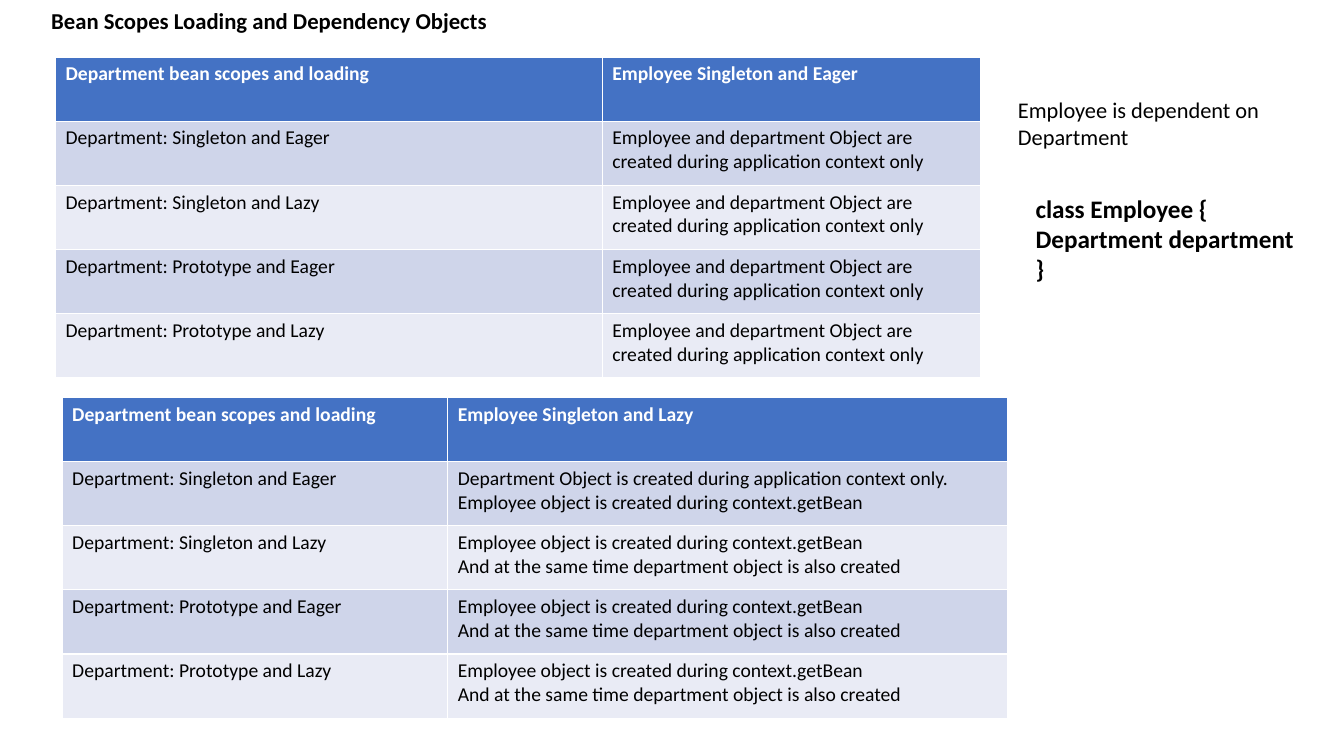
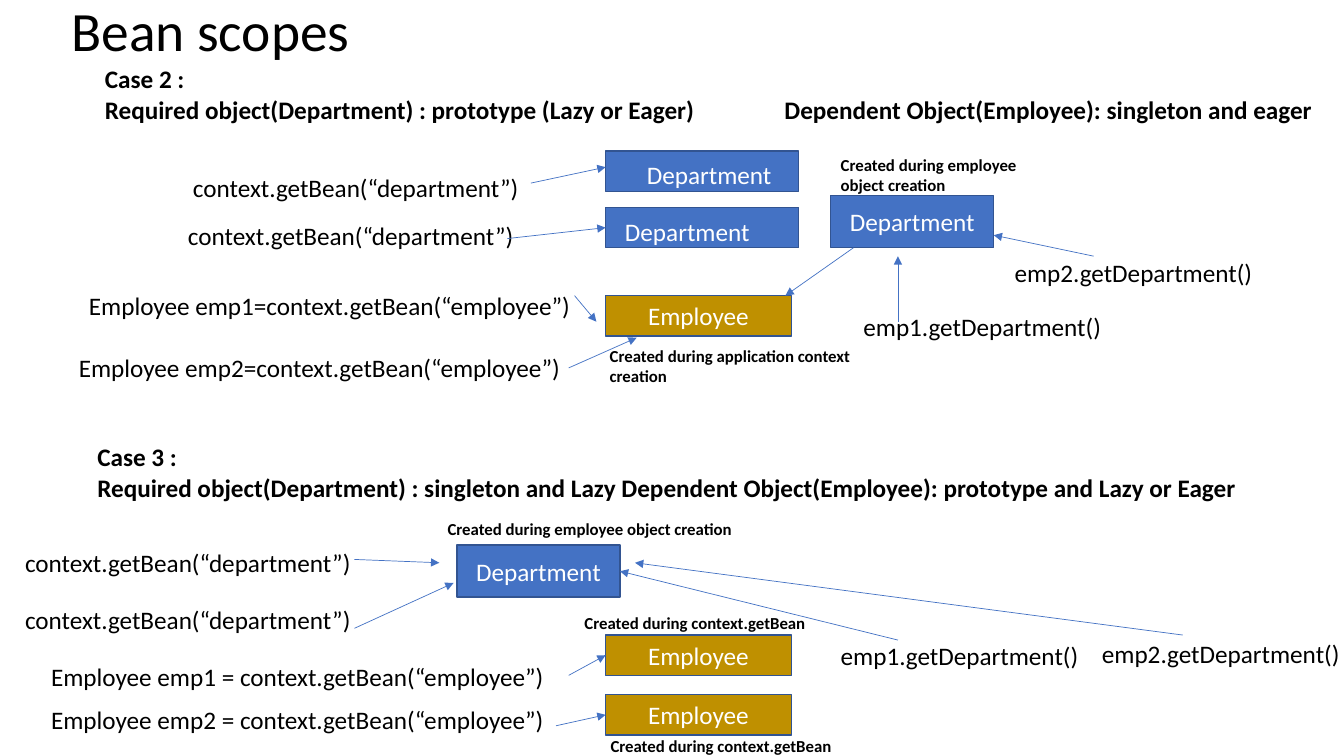
"""Build two slides on bean scopes: loading tables and object creation cases."""
from dataclasses import dataclass

from lxml.etree import SubElement as add_element
from pptx import Presentation
from pptx.dml.color import RGBColor
from pptx.enum.shapes import MSO_CONNECTOR as Connector
from pptx.enum.shapes import MSO_SHAPE as Preset
from pptx.enum.text import MSO_ANCHOR as Anchor
from pptx.enum.text import MSO_AUTO_SIZE as AutoSize
from pptx.enum.text import PP_ALIGN as Align
from pptx.oxml.ns import qn
from pptx.util import Inches, Pt

SLIDE_WIDTH, SLIDE_HEIGHT = Inches(13.33), Inches(7.5)
COLUMN, ROW = SLIDE_WIDTH / 160, SLIDE_HEIGHT / 90
FONT = "Calibri"
BLACK = RGBColor(0x00, 0x00, 0x00)
WHITE = RGBColor(0xFF, 0xFF, 0xFF)
BLUE = RGBColor(0x44, 0x72, 0xC4)
GOLD = RGBColor(0xBF, 0x90, 0x00)
OUTLINE = RGBColor(0x32, 0x54, 0x91)
BANDS = RGBColor(0xCF, 0xD5, 0xEA), RGBColor(0xE9, 0xEB, 0xF5)
LEFT_SIDE, RIGHT_SIDE = 1, 3

SCOPES = ["Singleton and Eager", "Singleton and Lazy", "Prototype and Eager", "Prototype and Lazy"]
BOTH_AT_START = ["Employee and department Object are created during application context only"]
EMPLOYEE_ON_CALL = "Employee object is created during context.getBean"
BOTH_ON_CALL = [EMPLOYEE_ON_CALL, "And at the same time department object is also created"]
EMPLOYEE_LATER = ["Department Object is created during application context only.", EMPLOYEE_ON_CALL]
GET_DEPARTMENT = "context.getBean(“department”)"
ON_EMPLOYEE = "Created during employee object creation"
ON_GET_BEAN = "Created during context.getBean"


@dataclass
class Box:
    """Hold a rectangle in grid columns and rows."""

    left: float
    top: float
    width: float
    height: float

    def inner(self, left, top, width, height):
        """Return a box placed relative to this one."""
        return Box(self.left + left, self.top + top, width, height)

    def lengths(self):
        """Return left, top, width and height as slide lengths."""
        return (int(self.left * COLUMN), int(self.top * ROW),
                int(self.width * COLUMN), int(self.height * ROW))


def write(frame, lines, size, color=BLACK, bold=False, align=Align.LEFT):
    """Write one paragraph per line into a text frame."""
    for index, line in enumerate(lines):
        paragraph = frame.paragraphs[0] if index == 0 else frame.add_paragraph()
        paragraph.alignment = align
        run = paragraph.add_run()
        run.text = line
        font = run.font
        font.name, font.size, font.bold = FONT, Pt(size), bold
        font.color.rgb = color


def add_title_slide(presentation, title, box, size, bold=False):
    """Add a title-only slide and format its title."""
    slide = presentation.slides.add_slide(presentation.slide_layouts[5])
    shape = slide.shapes.title
    shape.left, shape.top, shape.width, shape.height = box.lengths()
    frame = shape.text_frame
    frame.auto_size = AutoSize.NONE
    frame.vertical_anchor = Anchor.MIDDLE
    write(frame, [title], size, bold=bold)
    frame.paragraphs[0].line_spacing = 0.9
    return slide


def add_label(slide, box, lines, size=18, bold=False):
    """Add a wrapping text box."""
    frame = slide.shapes.add_textbox(*box.lengths()).text_frame
    frame.word_wrap = True
    frame.margin_right = 0
    write(frame, lines, size, bold=bold)
    return frame


def add_node(slide, box, name, fill, indent=None):
    """Add an object rectangle, centred unless an indent is given."""
    shape = slide.shapes.add_shape(Preset.RECTANGLE, *box.lengths())
    shape.shadow.inherit = False
    shape.fill.solid()
    shape.fill.fore_color.rgb = fill
    shape.line.color.rgb = OUTLINE
    shape.line.width = Pt(1)
    frame = shape.text_frame
    if indent is None:
        frame.vertical_anchor = Anchor.MIDDLE
        write(frame, [name], 18, WHITE, align=Align.CENTER)
    else:
        frame.vertical_anchor = Anchor.TOP
        frame.margin_left, frame.margin_top = int(indent * COLUMN), int(ROW)
        frame.margin_bottom = 0
        write(frame, [name], 18, WHITE)
    return shape


def add_arrow(slide, start, end):
    """Add a thin arrow between two boxes' corners."""
    left, top = start.lengths()[:2]
    right, bottom = end.lengths()[:2]
    arrow = slide.shapes.add_connector(Connector.STRAIGHT, left, top, right, bottom)
    arrow.line.color.rgb = BLUE
    arrow.line.width = Pt(0.5)
    add_element(arrow.line._get_or_add_ln(), qn("a:tailEnd"), type="triangle")
    add_element(arrow._element.spPr, qn("a:effectLst"))
    return arrow


def add_scope_table(slide, box, first_width, heading, outcomes):
    """Add a table of department scopes and what each one creates."""
    rows = [(["Department bean scopes and loading"], [heading])]
    rows += [([f"Department: {scope}"], outcome) for scope, outcome in zip(SCOPES, outcomes)]
    table = slide.shapes.add_table(len(rows), 2, *box.lengths()).table
    for column, width in zip(table.columns, (first_width, box.width - first_width)):
        column.width = int(width * COLUMN)
    for row_index, row in enumerate(rows):
        header = row_index == 0
        for column_index, lines in enumerate(row):
            cell = table.cell(row_index, column_index)
            cell.fill.solid()
            cell.fill.fore_color.rgb = BLUE if header else BANDS[(row_index - 1) % 2]
            write(cell.text_frame, lines, 14, WHITE if header else BLACK, header)


def add_case(slide, box, heading, calls, notes, nodes, arrows, tab=None):
    """Add a case: heading, calls, notes, objects and the arrows between them."""
    left, lines = heading
    frame = add_label(slide, box.inner(left, 0, box.width - left, 8.5), lines, bold=True)
    if tab:
        stops = add_element(frame.paragraphs[-1]._p.get_or_add_pPr(), qn("a:tabLst"))
        add_element(stops, qn("a:tab"), pos=str(int(tab * COLUMN)), algn="l")
    shapes = {key: add_node(slide, box.inner(*place), *look)
              for key, (place, look) in nodes.items()}
    for left, top, width, text in calls:
        add_label(slide, box.inner(left, top, width, 4.8), [text])
    for left, top, width, lines in notes:
        add_label(slide, box.inner(left, top, width, 3), lines, 12, True)
    for start, end in arrows:
        joined = isinstance(end[0], str)
        target = start if joined else end
        arrow = add_arrow(slide, box.inner(*start, 0, 0), box.inner(*target, 0, 0))
        if joined:
            key, side = end
            arrow.end_connect(shapes[key], side)


def build_loading_slide(presentation):
    """Build the slide with the two scope tables."""
    slide = add_title_slide(presentation, "Bean Scopes Loading and Dependency Objects",
                            Box(4.9, 0.8, 138, 3.7), 16.2, True)
    add_scope_table(slide, Box(6.6, 6.8, 110.1, 38.2), 65.1,
                    "Employee Singleton and Eager", [BOTH_AT_START] * 4)
    add_scope_table(slide, Box(7.4, 47.3, 112.6, 38.2), 45.9,
                    "Employee Singleton and Lazy", [EMPLOYEE_LATER] + [BOTH_ON_CALL] * 3)
    add_label(slide, Box(120, 10.9, 40, 7.7), ["Employee is dependent on", "Department"], 16)
    add_label(slide, Box(122.1, 22.4, 36, 12.1),
              ["class Employee {", "Department department", "}"], bold=True)


def build_cases_slide(presentation):
    """Build the slide with cases 2 and 3."""
    slide = add_title_slide(presentation, "Bean scopes", Box(7.3, 2, 138, 4.1), 39.6)
    add_case(
        slide, Box(0, 7, 160, 42),
        heading=(11.3, ["Case 2 :", "Required object(Department) : prototype (Lazy or Eager)\t"
                        "Dependent Object(Employee): singleton and eager"]),
        tab=80.9,
        calls=[
            (21.8, 12.9, 54.6, GET_DEPARTMENT),
            (21.2, 18.6, 54.6, GET_DEPARTMENT),
            (9.4, 27, 73.8, "Employee emp1=context.getBean(“employee”)"),
            (8.2, 34.3, 73.8, "Employee emp2=context.getBean(“employee”)"),
            (101.6, 29.5, 40, "emp1.getDepartment()"),
            (119.6, 23.1, 40, "emp2.getDepartment()"),
        ],
        notes=[
            (98.9, 10.8, 26.4, [ON_EMPLOYEE]),
            (71.4, 33.6, 41.4, ["Created during application context", "creation"]),
        ],
        nodes={
            "first": ((72.1, 11, 23, 4.8), ("Department", BLUE, 4.9)),
            "second": ((72.1, 17.7, 23, 4.8), ("Department", BLUE, 2.3)),
            "shared": ((98.9, 16.3, 19.4, 6.2), ("Department", BLUE)),
            "employee": ((72.1, 28.2, 22.1, 4.8), ("Employee", GOLD)),
        },
        arrows=[
            ((63.2, 14.8), (72.1, 12.9)),
            ((60.4, 21.4), ("second", LEFT_SIDE)),
            ((68.4, 28.2), (71, 31.3)),
            ((67.7, 36.8), (75.8, 33.2)),
            ((106.9, 31.3), (106.9, 23.5)),
            ((130.2, 23.5), (118.3, 21)),
            ((101.6, 22.5), (93.5, 28.2)),
        ])
    add_case(
        slide, Box(0, 52, 160, 38),
        heading=(10.4, ["Case 3 :", "Required object(Department) : singleton and Lazy "
                        "Dependent Object(Employee): prototype and Lazy or Eager"]),
        calls=[
            (1.8, 12.6, 54.6, GET_DEPARTMENT),
            (1.8, 19.4, 54.6, GET_DEPARTMENT),
            (4.9, 26.1, 71.5, "Employee emp1 = context.getBean(“employee”)"),
            (4.9, 31.2, 71.5, "Employee emp2 = context.getBean(“employee”)"),
            (98.9, 23.6, 30, "emp1.getDepartment()"),
            (130, 23.4, 30, "emp2.getDepartment()"),
        ],
        notes=[
            (52.1, 9.2, 41.4, [ON_EMPLOYEE]),
            (68.4, 20.4, 41.4, [ON_GET_BEAN]),
            (71.5, 35, 41.4, [ON_GET_BEAN]),
        ],
        nodes={
            "department": ((54.4, 12.9, 19.4, 6.2), ("Department", BLUE)),
            "first": ((72.1, 23.6, 22.1, 4.8), ("Employee", GOLD)),
            "second": ((72.1, 30.7, 22.1, 4.8), ("Employee", GOLD)),
        },
        arrows=[
            ((42.2, 14.6), (52.3, 15)),
            ((42.2, 22.8), (54, 17.4)),
            ((67.7, 28.4), ("first", LEFT_SIDE)),
            ((66.2, 34.4), ("second", LEFT_SIDE)),
            ((106.9, 24.2), ("department", RIGHT_SIDE)),
            ((140.8, 23.6), (75.6, 15)),
        ])


def main():
    """Build and save the presentation."""
    presentation = Presentation()
    presentation.slide_width, presentation.slide_height = SLIDE_WIDTH, SLIDE_HEIGHT
    build_loading_slide(presentation)
    build_cases_slide(presentation)
    presentation.save("out.pptx")


if __name__ == "__main__":
    main()
